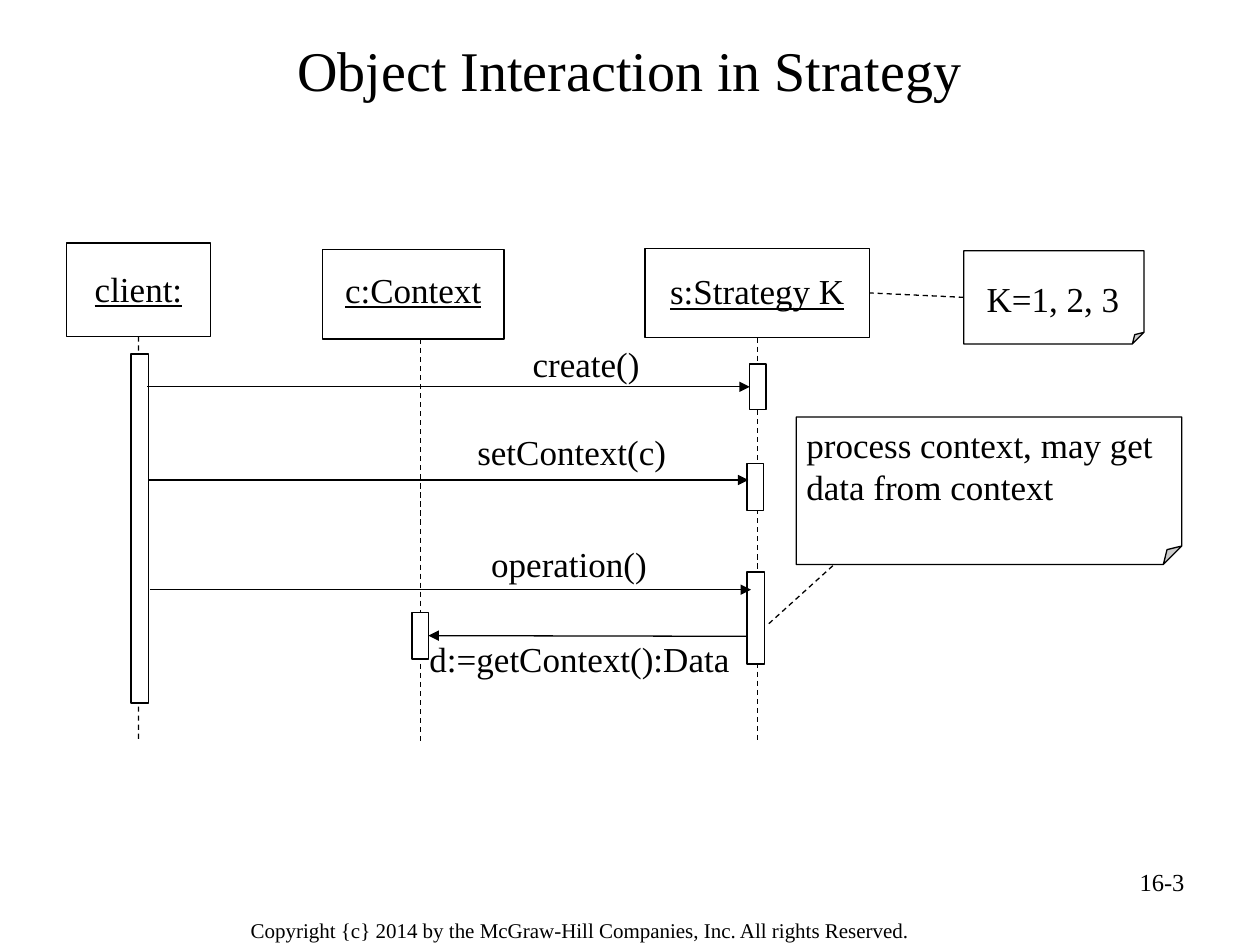
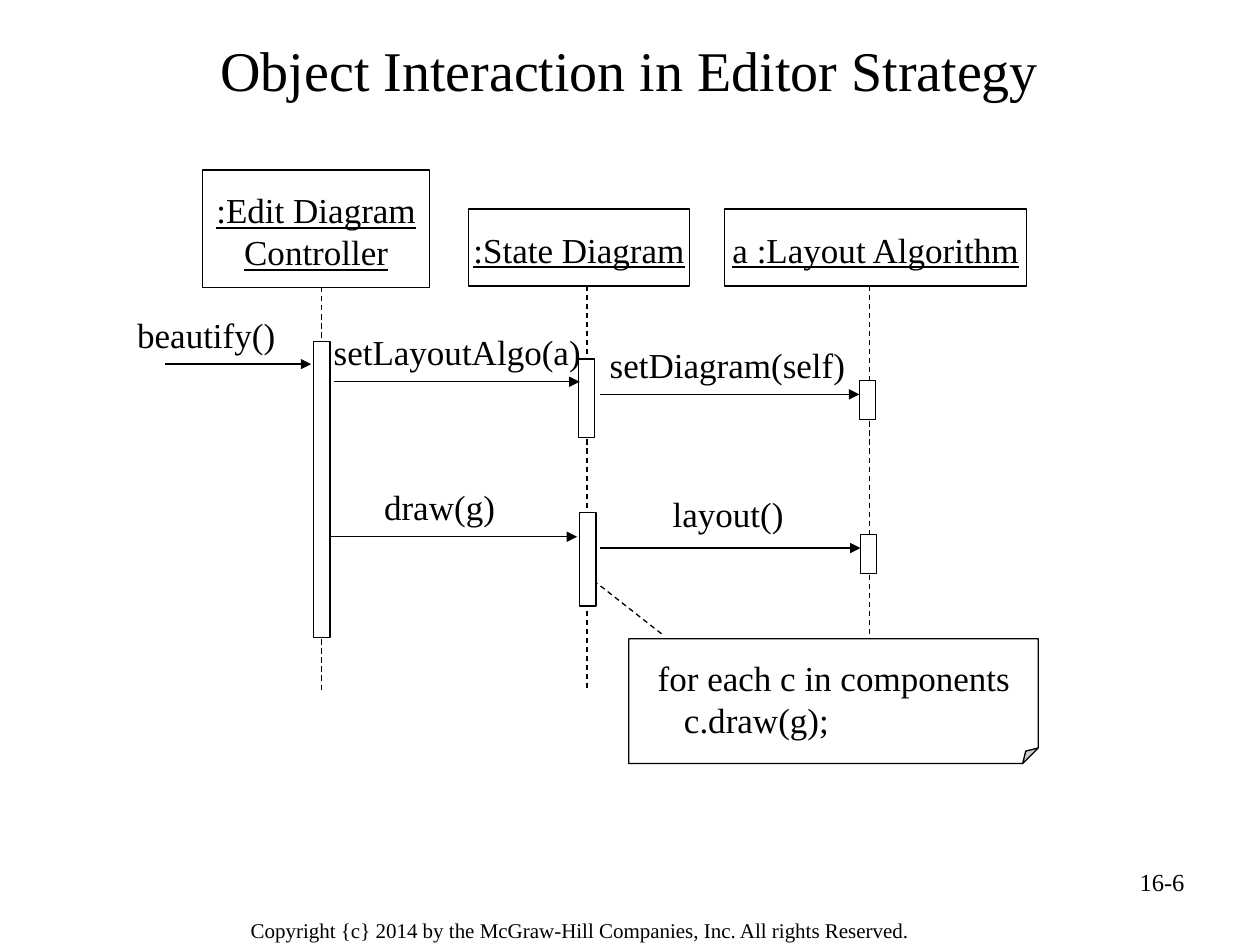
"""Build two sequence-diagram slides about the Strategy pattern."""
from collections import namedtuple
from dataclasses import dataclass

from lxml.etree import SubElement
from pptx import Presentation
from pptx.dml.color import RGBColor
from pptx.enum.dml import MSO_LINE
from pptx.enum.shapes import MSO_CONNECTOR, MSO_SHAPE
from pptx.enum.text import MSO_ANCHOR, PP_ALIGN
from pptx.oxml.ns import qn
from pptx.util import Inches, Pt

Joint = namedtuple("Joint", "shape site")
TOP, LEFT, BOTTOM, RIGHT = range(4)


@dataclass(frozen=True)
class Theme:
    """Colours, font and type sizes shared by the slides."""
    ink: RGBColor = RGBColor(0, 0, 0)
    paper: RGBColor = RGBColor(255, 255, 255)
    font: str = "Times New Roman"
    title: Pt = Pt(32)
    body: Pt = Pt(20)
    page: Pt = Pt(14)
    copyright: Pt = Pt(12)
    stroke: Pt = Pt(0.75)


THEME = Theme()


def write(frame, lines, size=THEME.body, align=PP_ALIGN.LEFT, underline=None,
          insets=(0.1, 0.05, 0.1, 0.05), anchor=MSO_ANCHOR.TOP, wrap=True):
    """Fill a text frame with one paragraph per line."""
    left, top, right, bottom = map(Inches, insets)
    layout = {"margin_left": left, "margin_top": top, "margin_right": right,
              "margin_bottom": bottom, "vertical_anchor": anchor, "word_wrap": wrap}
    for key, value in layout.items():
        setattr(frame, key, value)
    for index, line in enumerate(lines):
        paragraph = frame.paragraphs[0] if index == 0 else frame.add_paragraph()
        paragraph.alignment = align
        run = paragraph.add_run()
        run.text = line
        style = {"name": THEME.font, "size": size, "underline": underline}
        for key, value in style.items():
            setattr(run.font, key, value)
        run.font.color.rgb = THEME.ink


def add_text(slide, at, text, **style):
    """Add a text box."""
    write(slide.shapes.add_textbox(*map(Inches, at)).text_frame, [text], **style)


def add_outline(slide, preset, at, filled=True):
    """Add a thin-lined shape, white or hollow."""
    outline = slide.shapes.add_shape(preset, *map(Inches, at))
    outline.shadow.inherit = False
    if filled:
        outline.fill.solid()
        outline.fill.fore_color.rgb = THEME.paper
    else:
        outline.fill.background()
    outline.line.color.rgb = THEME.ink
    outline.line.width = THEME.stroke
    return outline


def locate(end):
    """Return the coordinates of a joint or of a point in inches."""
    if not isinstance(end, Joint):
        return tuple(map(Inches, end))
    shape, site = end
    across, down = ((1, 0), (0, 1), (1, 2), (2, 1))[site]
    return shape.left + shape.width * across // 2, shape.top + shape.height * down // 2


def add_line(slide, start, end, dashed=False, arrow=False):
    """Add a straight connector, joined wherever an end is a joint."""
    line = slide.shapes.add_connector(
        MSO_CONNECTOR.STRAIGHT, *locate(start), *locate(end))
    for joint, join in ((start, line.begin_connect), (end, line.end_connect)):
        if isinstance(joint, Joint):
            join(*joint)
    line.line.color.rgb = THEME.ink
    line.line.width = THEME.stroke
    if dashed:
        line.line.dash_style = MSO_LINE.DASH
    properties = line._element.spPr
    if arrow:
        SubElement(properties.find(qn("a:ln")), qn("a:tailEnd"), type="triangle")
    SubElement(properties, qn("a:effectLst"))


def add_participant(slide, name, at, axis, life_end, drop=0.15):
    """Add an object box with its lifeline."""
    box = add_outline(slide, MSO_SHAPE.RECTANGLE, at, filled=False)
    write(box.text_frame, [name], align=PP_ALIGN.CENTER, underline=True,
          insets=(0, drop, 0, 0))
    left, top, width, height = at
    centred = abs(left + width / 2 - axis) < 0.01
    start = Joint(box, BOTTOM) if centred else (axis, top + height)
    add_line(slide, start, (axis, life_end), dashed=True)
    return box


def add_activation(slide, at):
    """Add an activation bar."""
    return add_outline(slide, MSO_SHAPE.RECTANGLE, at)


def add_message(slide, name, label_at, start, end):
    """Add a message arrow with its label."""
    add_line(slide, start, end, arrow=True)
    add_text(slide, label_at, name, wrap=False)


def add_note(slide, lines, at, left, top):
    """Add a note with a folded corner."""
    note = add_outline(slide, MSO_SHAPE.FOLDED_CORNER, at)
    guides = note._element.spPr.find(qn("a:prstGeom")).get_or_add_avLst()
    SubElement(guides, qn("a:gd"), name="adj", fmla="val 12500")
    write(note.text_frame, lines, insets=(left, top, 0, 0))
    return note


def add_page(deck, title, number):
    """Add a blank slide with title, page number and copyright."""
    slide = deck.slides.add_slide(deck.slide_layouts[6])
    add_text(slide, (1.88, 7.22, 6.19, 0.31),
             "Copyright {c} 2014 by the McGraw-Hill Companies, Inc. All rights Reserved.",
             size=THEME.copyright, insets=(0.11, 0.06, 0.11, 0.06))
    add_text(slide, (7.17, 6.83, 2.33, 0.52), number,
             size=THEME.page, align=PP_ALIGN.RIGHT)
    add_text(slide, (0.5, 0.17, 9, 0.75), title, size=THEME.title,
             align=PP_ALIGN.CENTER, anchor=MSO_ANCHOR.MIDDLE)
    return slide


def build_strategy(deck):
    """Build the general Strategy interaction."""
    slide = add_page(deck, "Object Interaction in Strategy", "16-3")
    life_end = 5.88
    add_participant(slide, "client:", (0.53, 1.93, 1.14, 0.74), 1.1, life_end, 0.19)
    add_participant(slide, "c:Context", (2.56, 1.98, 1.44, 0.71), 3.34, life_end)
    strategy = add_participant(
        slide, "s:Strategy K", (5.12, 1.97, 1.78, 0.71), 6.01, life_end, 0.17)

    add_activation(slide, (1.04, 2.81, 0.14, 2.77))
    creation = add_activation(slide, (5.95, 2.89, 0.13, 0.36))
    add_activation(slide, (5.93, 3.68, 0.13, 0.37))
    add_activation(slide, (5.93, 4.54, 0.14, 0.73))
    context_access = add_activation(slide, (3.27, 4.86, 0.13, 0.37))

    messages = (
        ("create()", (4.13, 2.67, 1.43, 0.8), (1.17, 3.07), Joint(creation, LEFT)),
        ("setContext(c)", (3.69, 3.37, 1.97, 0.8), (1.18, 3.81), (5.94, 3.81)),
        ("operation()", (3.8, 4.26, 1.78, 0.8), (1.19, 4.68), (5.96, 4.68)),
        ("d:=getContext():Data", (3.31, 5.01, 2.79, 0.8), (5.92, 5.05),
         Joint(context_access, RIGHT)),
    )
    for message in messages:
        add_message(slide, *message)

    variants = add_note(slide, ["K=1, 2, 3"], (7.65, 1.99, 1.43, 0.74), 0.18, 0.21)
    add_line(slide, Joint(variants, LEFT), Joint(strategy, RIGHT), dashed=True)
    add_note(slide, ["process context, may get", "data from context"],
             (6.32, 3.31, 3.06, 1.17), 0.08, 0.05)
    add_line(slide, (6.61, 4.49), (6.08, 4.97), dashed=True)


def build_editor(deck):
    """Build the editor's Strategy interaction."""
    slide = add_page(deck, "Object Interaction in Editor Strategy", "16-6")
    participants = (
        (":Edit Diagram Controller", (1.61, 1.35, 1.8, 0.93), 2.55),
        (":State Diagram", (3.72, 1.66, 1.75, 0.61), 4.66),
        ("a :Layout Algorithm", (5.75, 1.66, 2.4, 0.61), 6.9),
    )
    for participant in participants:
        add_participant(slide, *participant, life_end=5.48)

    activations = (
        (2.49, 2.71, 0.13, 2.35), (4.59, 2.85, 0.13, 0.62), (4.6, 4.07, 0.13, 0.74),
        (6.82, 3.02, 0.13, 0.31), (6.83, 4.24, 0.13, 0.31),
    )
    for activation in activations:
        add_activation(slide, activation)

    messages = (
        ("beautify()", (0.99, 2.44, 1.52, 0.68), (1.31, 2.89), (2.47, 2.89)),
        ("setLayoutAlgo(a)", (2.55, 2.57, 2.37, 0.68), (2.65, 3.03), (4.6, 3.03)),
        ("setDiagram(self)", (4.74, 2.68, 2.38, 0.68), (4.76, 3.13), (6.82, 3.13)),
        ("draw(g)", (2.95, 3.8, 1.47, 0.68), (2.63, 4.26), (4.58, 4.26)),
        ("layout()", (5.24, 3.86, 1.35, 0.68), (4.76, 4.35), (6.83, 4.35)),
    )
    for message in messages:
        add_message(slide, *message)

    add_note(slide, ["for each c in components", "   c.draw(g);"],
             (4.99, 5.07, 3.25, 0.99), 0.23, 0.14)
    add_line(slide, (5.25, 5.03), (4.74, 4.63), dashed=True)


def main():
    """Build and save the deck."""
    deck = Presentation()
    deck.slide_width, deck.slide_height = Inches(10), Inches(7.5)
    build_strategy(deck)
    build_editor(deck)
    deck.save("out.pptx")


if __name__ == "__main__":
    main()
